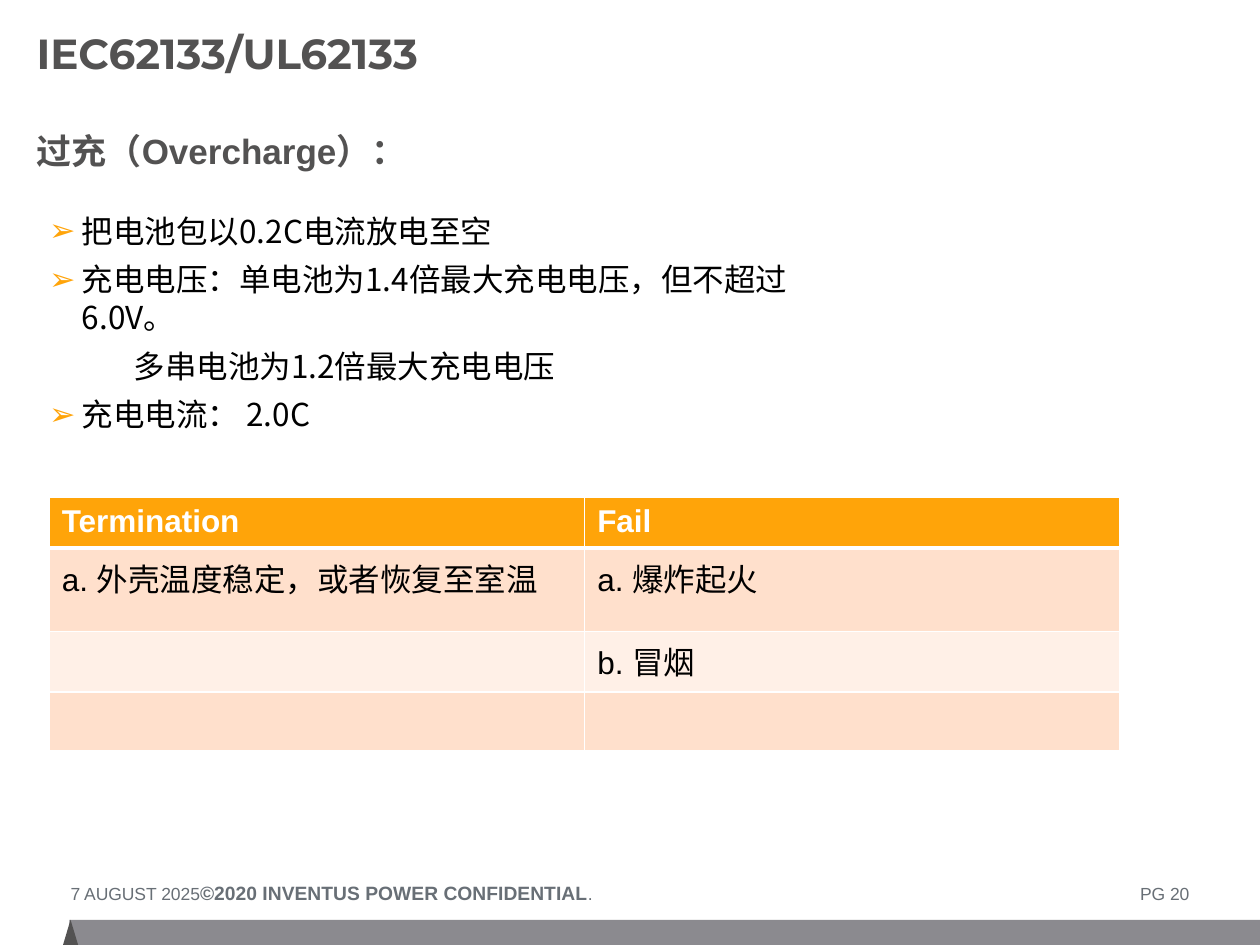
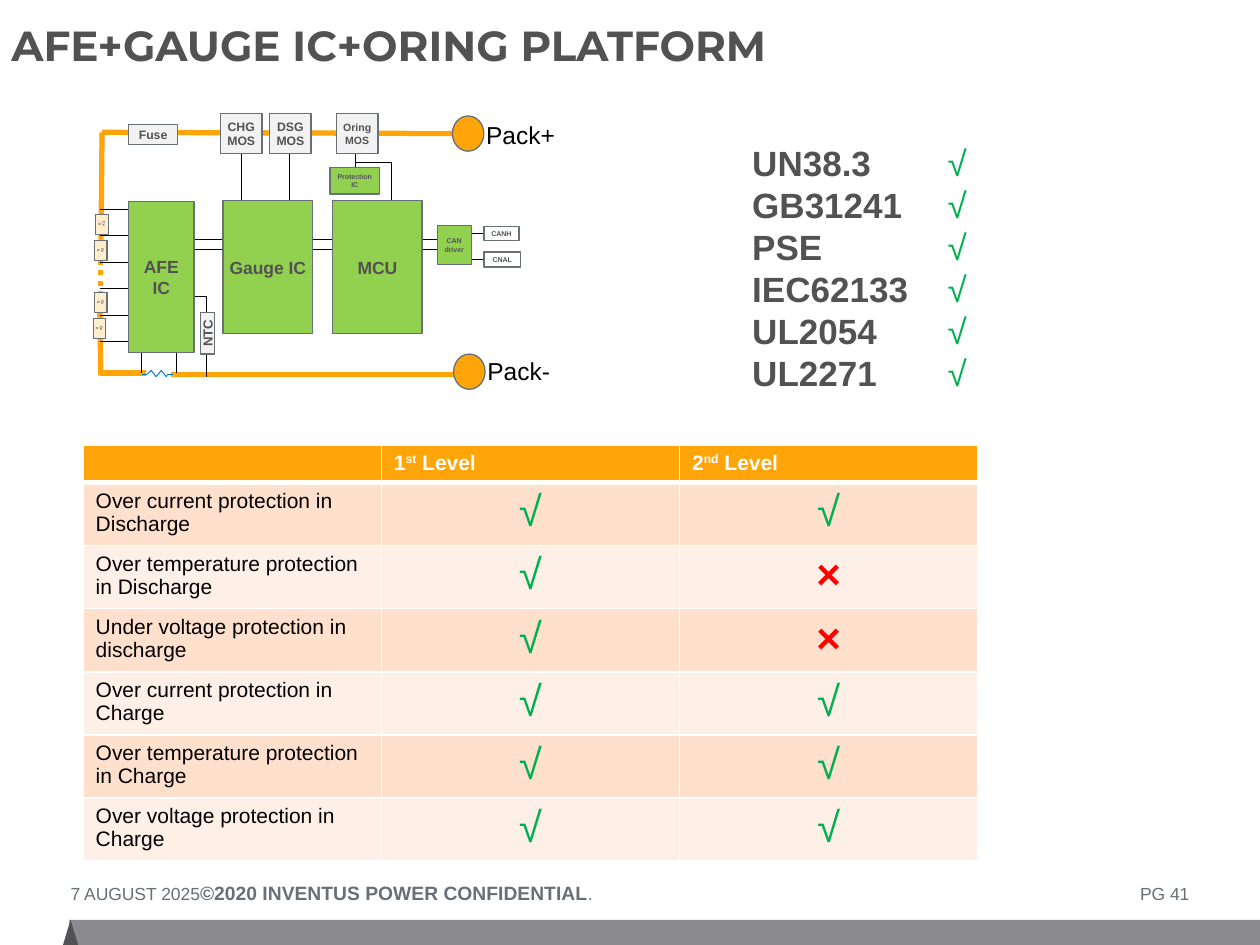
"""Build two battery pack slides: the overcharge test and the protection platform."""
from lxml.etree import SubElement
from pptx import Presentation
from pptx.dml.color import RGBColor
from pptx.enum.dml import MSO_LINE
from pptx.enum.shapes import MSO_CONNECTOR, MSO_SHAPE
from pptx.enum.text import MSO_ANCHOR, PP_ALIGN
from pptx.oxml.ns import qn
from pptx.util import Inches, Pt

COLORS = {
    "orange": "FFA409", "dark": "535252", "slate": "686F76", "band": "8B8A8F",
    "white": "FFFFFF", "black": "000000", "peach": "FFE0CC", "blush": "FFF0E7",
    "green": "92D050", "tick": "00B050", "cross": "FF0000", "pale": "F2F2F2",
    "cell": "FFEDCE", "blue": "0070C0",
}
RGB = {name: RGBColor.from_string(value) for name, value in COLORS.items()}
CJK_FONT = "Noto Sans CJK SC"


def write(frame, lines, size, color="dark", bold=False, font="Arial",
          align=PP_ALIGN.LEFT, anchor=MSO_ANCHOR.TOP, insets=(0, 0)):
    frame.word_wrap = True
    frame.vertical_anchor = anchor
    frame.margin_left = frame.margin_right = Inches(insets[0])
    frame.margin_top = frame.margin_bottom = Inches(insets[1])
    for index, line in enumerate(lines):
        paragraph = frame.paragraphs[0] if index == 0 else frame.add_paragraph()
        paragraph.alignment = align
        for piece in [line] if isinstance(line, str) else line:
            run = paragraph.add_run()
            run.text = piece
            run.font.size = Pt(size)
            run.font.name = font
            run.font.bold = bold
            run.font.color.rgb = RGB[color]
            SubElement(run.font._element, qn("a:ea"), typeface=CJK_FONT)


def add_part(slide, kind, box, fill, outline=None):
    part = slide.shapes.add_shape(kind, *map(Inches, box))
    part.shadow.inherit = False
    part.fill.solid()
    part.fill.fore_color.rgb = RGB[fill]
    if outline:
        part.line.color.rgb = RGB[outline]
        part.line.width = Pt(0.75)
    else:
        part.line.fill.background()
    return part


deck = Presentation()
deck.slide_width, deck.slide_height = Inches(10), Inches(7.5)

slides = []
for heading, left, top, page in [
    ("IEC62133/UL62133", 0.29, 0.14, 20),
    ("AFE+GAUGE IC+ORING PLATFORM", 0.09, 0.08, 41),
]:
    slide = deck.slides.add_slide(deck.slide_layouts[5])
    slides.append(slide)
    add_part(slide, MSO_SHAPE.RECTANGLE, (0.55, 7.3, 9.45, 0.2), "band")
    add_part(slide, MSO_SHAPE.ISOSCELES_TRIANGLE, (0.5, 7.3, 0.12, 0.2), "dark")

    footer = slide.shapes.add_textbox(Inches(0.56), Inches(6.99), Inches(8.89), Inches(0.19))
    write(footer.text_frame,
          [["7 AUGUST 2025", "©2020 INVENTUS POWER CONFIDENTIAL", f".\tPG {page}"]],
          10, "slate")
    footer_line = footer.text_frame.paragraphs[0]
    tabs = SubElement(footer_line._p.get_or_add_pPr(), qn("a:tabLst"))
    SubElement(tabs, qn("a:tab"), pos=str(Inches(8.88)), algn="r")
    footer_line.runs[1].font.size = Pt(11)
    footer_line.runs[1].font.bold = True

    title = slide.shapes.title
    title.left, title.top = Inches(left), Inches(top)
    title.width, title.height = Inches(7.38), Inches(0.64)
    write(title.text_frame, [heading], 24, bold=True, font="Montserrat",
          anchor=MSO_ANCHOR.MIDDLE)
    title.text_frame.paragraphs[0].line_spacing = 0.75

overcharge, platform = slides

subtitle = overcharge.shapes.add_textbox(Inches(0.29), Inches(1.03), Inches(5.25), Inches(0.46))
write(subtitle.text_frame, ["过充（Overcharge）："], 20, bold=True)

conditions = overcharge.shapes.add_textbox(Inches(0.39), Inches(1.68), Inches(6.42), Inches(1.2))
write(conditions.text_frame, [
    "把电池包以0.2C电流放电至空",
    "充电电压：单电池为1.4倍最大充电电压，但不超过6.0V。",
    "多串电池为1.2倍最大充电电压",
    "充电电流： 2.0C",
], 18, "black", font=CJK_FONT)
for index, paragraph in enumerate(conditions.text_frame.paragraphs):
    paragraph.space_after = Pt(6)
    paragraph.line_spacing = Pt(21.7)
    properties = paragraph._p.get_or_add_pPr()
    if index == 2:
        properties.set("marL", str(Inches(0.67)))
        continue
    properties.set("marL", str(Inches(0.26)))
    properties.set("indent", str(Inches(-0.26)))
    bullet_color = SubElement(properties, qn("a:buClr"))
    SubElement(bullet_color, qn("a:srgbClr"), val=COLORS["orange"])
    SubElement(properties, qn("a:buFont"), typeface="Arial")
    SubElement(properties, qn("a:buChar"), char="➢")

verdicts = [
    ["Termination", "Fail"],
    ["a. 外壳温度稳定，或者恢复至室温", "a. 爆炸起火"],
    ["", "b. 冒烟"],
    ["", ""],
]
protections = [
    ["", ["1", "st", " Level"], ["2", "nd", " Level"]],
    ["Over current protection in Discharge", "√", "√"],
    ["Over temperature protection in Discharge", "√", "×"],
    ["Under voltage protection in discharge", "√", "×"],
    ["Over current protection in Charge", "√", "√"],
    ["Over temperature protection in Charge", "√", "√"],
    ["Over voltage protection in Charge", "√", "√"],
]
marks = {"√": "tick", "×": "cross"}

for slide, rows, left, top, width, heights, size in [
    (overcharge, verdicts, 0.39, 3.95, 8.5, [0.38, 0.66, 0.48, 0.47], 18),
    (platform, protections, 0.66, 3.53, 7.1, [0.26] + [0.43] * 6, 12),
]:
    table = slide.shapes.add_table(len(rows), len(rows[0]), Inches(left), Inches(top),
                                   Inches(width), Inches(sum(heights))).table
    for row_index, (row, height) in enumerate(zip(rows, heights)):
        table.rows[row_index].height = Inches(height)
        is_header = row_index == 0
        fill = "orange" if is_header else ("blush", "peach")[row_index % 2]
        for column_index, entry in enumerate(row):
            cell = table.cell(row_index, column_index)
            cell_properties = cell._tc.get_or_add_tcPr()
            for side in ("lnL", "lnR", "lnT", "lnB"):
                thick = (row_index, side) in [(0, "lnB"), (1, "lnT")]
                border = SubElement(cell_properties, qn(f"a:{side}"),
                                    w=str(Pt(3 if thick else 1)))
                border_fill = SubElement(border, qn("a:solidFill"))
                SubElement(border_fill, qn("a:srgbClr"), val=COLORS["white"])
            cell.fill.solid()
            cell.fill.fore_color.rgb = RGB[fill]
            paragraph = cell.text_frame.paragraphs[0]
            if not entry:
                SubElement(paragraph._p, qn("a:endParaRPr"), sz=str(size * 100))
            elif isinstance(entry, str) and entry in marks:
                write(cell.text_frame, [entry], 24, marks[entry], entry == "×",
                      align=PP_ALIGN.CENTER, insets=(0.1, 0.05))
            else:
                write(cell.text_frame, [entry], size, "white" if is_header else "black",
                      is_header, insets=(0.1, 0.05))
            if isinstance(entry, list):
                paragraph.runs[1].font._element.set("baseline", "30000")

standards = add_part(platform, MSO_SHAPE.RECTANGLE, (5.3, 0.9, 3.29, 2.45), "white", "white")
write(standards.text_frame,
      [[f"{name}\t", "√"] for name in
       ("UN38.3", "GB31241", "PSE", "IEC62133", "UL2054", "UL2271")],
      20, bold=True, anchor=MSO_ANCHOR.MIDDLE, insets=(0.67, 0.05))
for paragraph in standards.text_frame.paragraphs:
    tabs = SubElement(paragraph._p.get_or_add_pPr(), qn("a:tabLst"))
    SubElement(tabs, qn("a:tab"), pos=str(Inches(1.55)), algn="l")
    paragraph.runs[1].font.bold = False
    paragraph.runs[1].font.color.rgb = RGB["tick"]

cell_taps = [[(0.79, 1.66 + 0.21 * step), (1.05, 1.66 + 0.21 * step)] for step in range(6)]
power_rails = [
    [(3.59, 1.06), (0.81, 1.05), (0.8, 2.07)],
    [(1.36, 2.97), (3.79, 2.97)],
    [(0.79, 2.96), (1.16, 2.96)],
    [(0.79, 2.32), (0.8, 2.98)],
]
signals = cell_taps + [
    [(3.62, 1.98), (1.32, 1.98)],
    [(3.62, 1.9), (1.32, 1.9)],
    [(1.28, 2.35), (1.64, 2.35), (1.64, 2.99)],
    [(2.82, 1.08), (2.82, 1.54)],
    [(2.82, 1.29), (3.11, 1.29), (3.11, 1.85)],
    [(1.92, 1.22), (1.92, 1.73)],
    [(2.3, 1.22), (2.3, 1.73)],
    [(1.12, 2.63), (1.12, 2.96)],
    [(1.4, 2.63), (1.4, 2.96)],
    [(3.99, 1.85), (3.66, 1.85)],
    [(3.96, 2.06), (3.63, 2.06)],
]
resistor = [(1.13, 2.97), (1.17, 2.97), (1.2, 2.94), (1.24, 2.99), (1.28, 2.94),
            (1.32, 2.99), (1.33, 2.97), (1.37, 2.97)]
hidden_cells = [(0.8, 2.06), (0.8, 2.71)]

for routes, color, weight, dash in [
    (power_rails, "orange", 3, None),
    ([hidden_cells], "orange", 3, MSO_LINE.ROUND_DOT),
    (signals, "black", 0.5, None),
    ([resistor], "blue", 0.5, None),
]:
    for route in routes:
        for start, end in zip(route, route[1:]):
            wire = platform.shapes.add_connector(MSO_CONNECTOR.STRAIGHT,
                                                 *map(Inches, start + end))
            wire.line.color.rgb = RGB[color]
            wire.line.width = Pt(weight)
            if dash:
                wire.line.dash_style = dash
            SubElement(wire._element.spPr, qn("a:effectLst"))

for box, fill, lines, size in [
    ((1.02, 0.99, 0.39, 0.16), "pale", ["Fuse"], 7),
    ((1.75, 0.9, 0.33, 0.32), "pale", ["CHG", "MOS"], 7),
    ((2.14, 0.9, 0.33, 0.32), "pale", ["DSG", "MOS"], 7),
    ((2.67, 0.9, 0.33, 0.32), "pale", ["Oring", "MOS"], 6),
    ((1.48, 2.59, 0.33, 0.11), "pale", ["NTC"], 7.5),
    ((1.02, 1.6, 0.52, 1.2), "green", ["AFE IC"], 10),
    ((1.77, 1.59, 0.71, 1.06), "green", ["Gauge IC"], 10),
    ((2.64, 1.59, 0.71, 1.06), "green", ["MCU"], 10),
    ((2.62, 1.33, 0.39, 0.21), "green", ["Protection", "IC"], 4),
    ((3.47, 1.79, 0.27, 0.31), "green", ["CAN driver"], 4),
    ((3.84, 1.8, 0.28, 0.11), "white", ["CANH"], 4),
    ((3.84, 2, 0.29, 0.12), "white", ["CNAL"], 4),
    ((0.76, 1.7, 0.1, 0.16), "cell", ["Cell"], 2),
    ((0.75, 1.91, 0.1, 0.16), "cell", ["Cell"], 2),
    ((0.75, 2.32, 0.1, 0.16), "cell", ["Cell"], 2),
    ((0.74, 2.53, 0.1, 0.16), "cell", ["Cell"], 2),
]:
    block = add_part(platform, MSO_SHAPE.RECTANGLE, box, fill, "slate")
    write(block.text_frame, lines, size, bold=True, align=PP_ALIGN.CENTER,
          anchor=MSO_ANCHOR.MIDDLE, insets=(0.04, 0.05))
    if lines == ["NTC"]:
        block.rotation = 270
    if fill == "cell":
        block.text_frame._txBody.bodyPr.set("vert", "eaVert")

for polarity, left, top, label_top in [("Pack+", 3.59, 0.92, 0.9), ("Pack-", 3.6, 2.81, 2.78)]:
    add_part(platform, MSO_SHAPE.OVAL, (left, top, 0.25, 0.28), "orange", "slate")
    terminal = platform.shapes.add_textbox(Inches(left + 0.17), Inches(label_top),
                                           Inches(0.77), Inches(0.34))
    write(terminal.text_frame, [polarity], 14, "black", insets=(0.1, 0.05))

deck.save("out.pptx")
